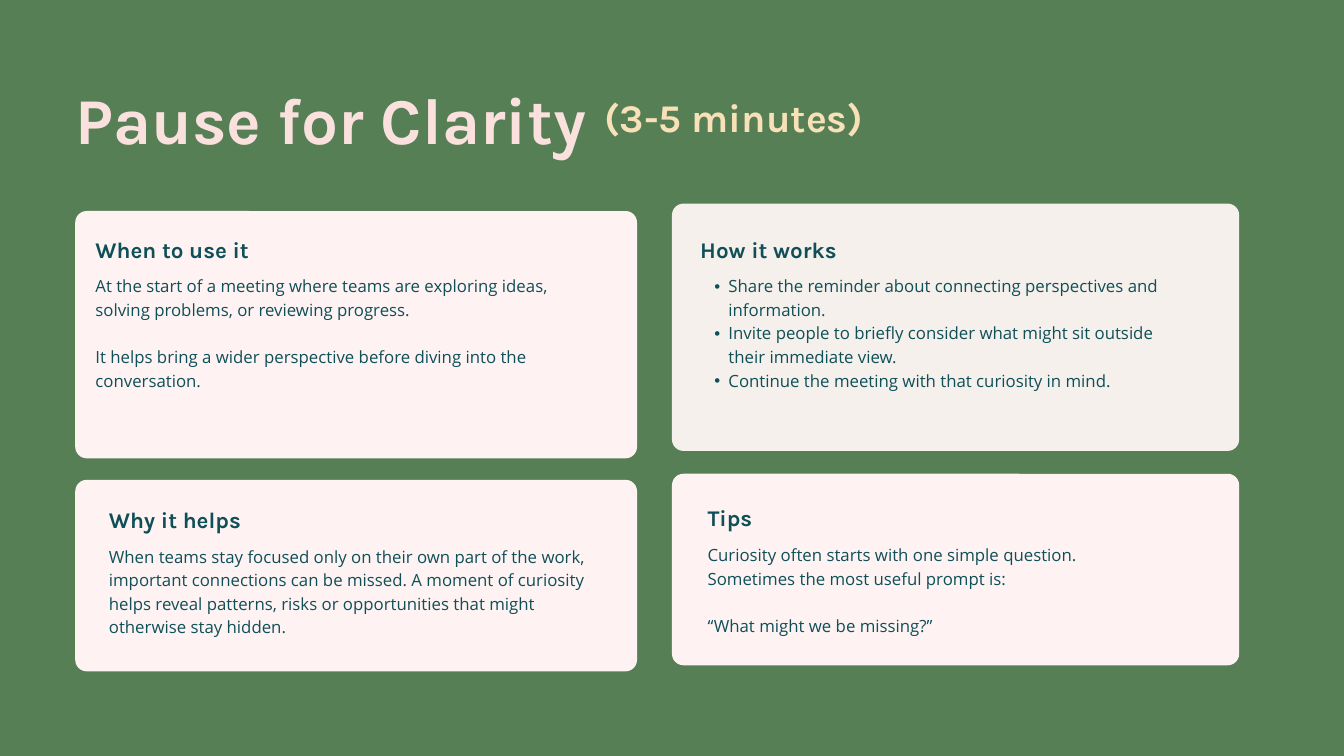
from lxml import etree
from pptx import Presentation
from pptx import util as u
from pptx.dml.color import RGBColor
from pptx.enum import shapes, text
from pptx.oxml.ns import qn

PX = 9144  # EMU per px, 100 px to the inch
COLORS = {"green": "567F55", "blush": "FEF3F2", "cream": "F5F0EB",
          "teal": "0F4F58", "pink": "FBE1DE", "sand": "F8E1B8"}
TITLE = {"name": "Karla", "size": u.Pt(70), "bold": True}
DURATION = {"name": "Karla", "size": u.Pt(42), "bold": True}
HEADING = {"name": "Karla", "size": u.Pt(24), "bold": True}
BODY = {"name": "Open Sans", "size": u.Pt(18), "bold": False}
RADIUS = 17
BODY_DROP = 62

# box, fill, text inset (x, y), body width, heading, blocks of lines, bulleted
CARDS = [
    ((112, 714, 836, 285), "blush", (50, 32), 738, "Why it helps",
     [["When teams stay focused only on their own part of the work, important "
       "connections can be missed. A moment of curiosity helps reveal patterns, "
       "risks or opportunities that might otherwise stay hidden."]], False),
    ((112, 314, 836, 368), "blush", (30, 30), 738, "When to use it",
     [["At the start of a meeting where teams are exploring ideas, solving "
       "problems, or reviewing progress."],
      ["It helps bring a wider perspective before diving into the conversation."]],
     False),
    ((1000, 705, 844, 285), "blush", (53, 39), 738, "Tips",
     [["Curiosity often starts with one simple question.",
       "Sometimes the most useful prompt is:"],
      ["“What might we be missing?”"]], False),
    ((1000, 303, 844, 368), "cream", (42, 41), 726, "How it works",
     [["Share the reminder about connecting perspectives and information.",
       "Invite people to briefly consider what might sit outside their "
       "immediate view.",
       "Continue the meeting with that curiosity in mind."]], True),
]


def rgb(name):
    return RGBColor.from_string(COLORS[name])


def px(*values):
    return [v * PX for v in values]


def add_bullet(p):
    p.level = 1
    pPr = p._p.get_or_add_pPr()
    pPr.set("marL", str(42 * PX))
    pPr.set("indent", str(-21 * PX))
    etree.SubElement(pPr, qn("a:buFont")).set("typeface", "Arial")
    etree.SubElement(pPr, qn("a:buChar")).set("char", "•")


def add_text(s, box, blocks, font, color, bulleted=False):
    """Write blocks of lines, with one line's height between blocks."""
    tf = s.shapes.add_textbox(*px(*box)).text_frame
    for side in ("left", "top", "right", "bottom"):
        setattr(tf, f"margin_{side}", 0)
    tf.word_wrap = True
    tf.auto_size = text.MSO_AUTO_SIZE.SHAPE_TO_FIT_TEXT
    leading = u.Pt(font["size"].pt * 1.4)
    p = tf.paragraphs[0]
    for b, lines in enumerate(blocks):
        for i, line in enumerate(lines):
            if b or i:
                p = tf.add_paragraph()
            if bulleted:
                add_bullet(p)
            p.line_spacing = leading
            if b and i == 0:
                p.space_before = leading
            r = p.add_run()
            r.text = line
            for key, value in font.items():
                setattr(r.font, key, value)
            r.font.color.rgb = rgb(color)


def add_card(s, box, fill, inset, body_width, heading, blocks, bulleted):
    x, y, w, h = box
    sp = s.shapes.add_shape(shapes.MSO_SHAPE.ROUNDED_RECTANGLE, *px(*box))
    sp.adjustments[0] = RADIUS / min(w, h)
    sp.shadow.inherit = False
    sp.fill.solid()
    sp.fill.fore_color.rgb = rgb(fill)
    sp.line.fill.background()
    left, top = x + inset[0], y + inset[1]
    add_text(s, (left, top + BODY_DROP, body_width, 170), blocks, BODY, "teal", bulleted)
    add_text(s, (left, top, 256, 44), [[heading]], HEADING, "teal")


def add_header(s, x, y):
    add_text(s, (x, y, 1310, 131), [["Pause for Clarity"]], TITLE, "pink")
    add_text(s, (x + 787, y + 29, 480, 78), [["(3-5 minutes)"]], DURATION, "sand")


def main():
    prs = Presentation()
    prs.slide_width, prs.slide_height = px(2000, 1125)
    s = prs.slides.add_slide(prs.slide_layouts[6])
    s.background.fill.solid()
    s.background.fill.fore_color.rgb = rgb("green")
    add_header(s, 112, 98)
    for card in CARDS:
        add_card(s, *card)
    prs.save("out.pptx")


if __name__ == "__main__":
    main()
